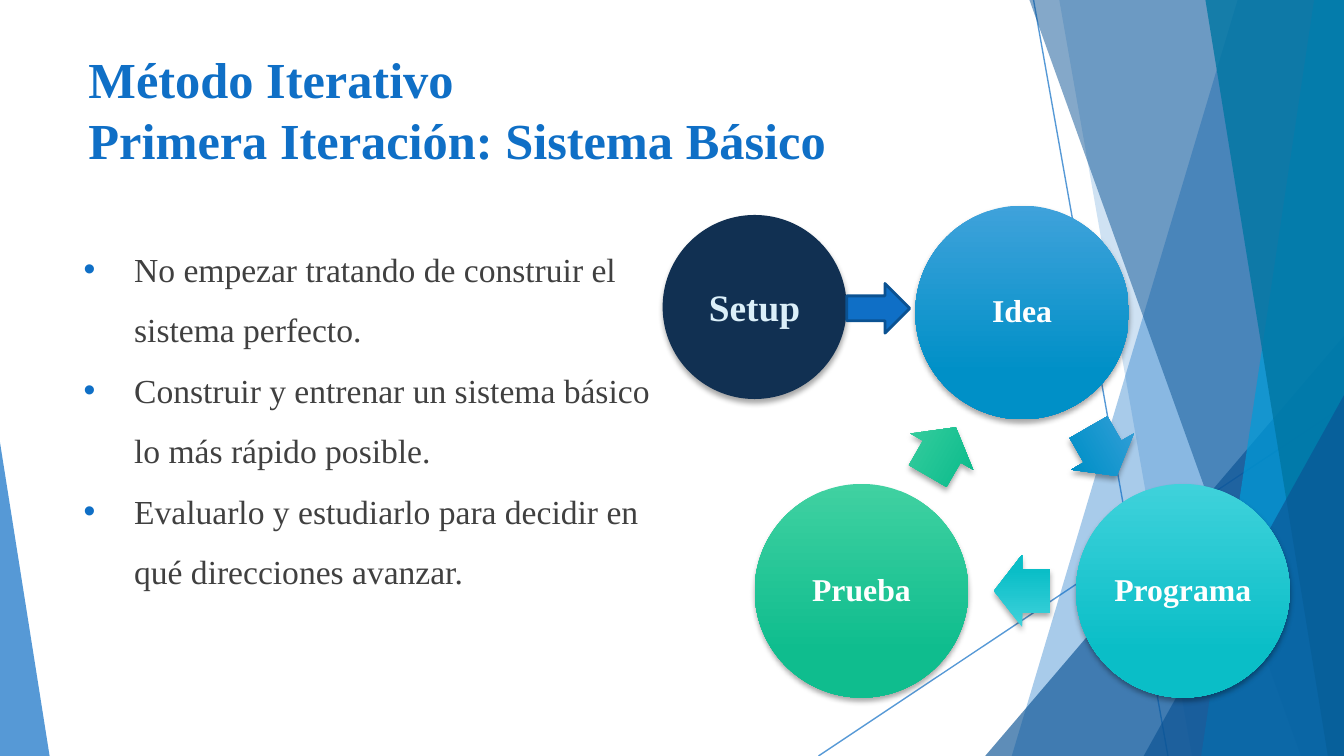
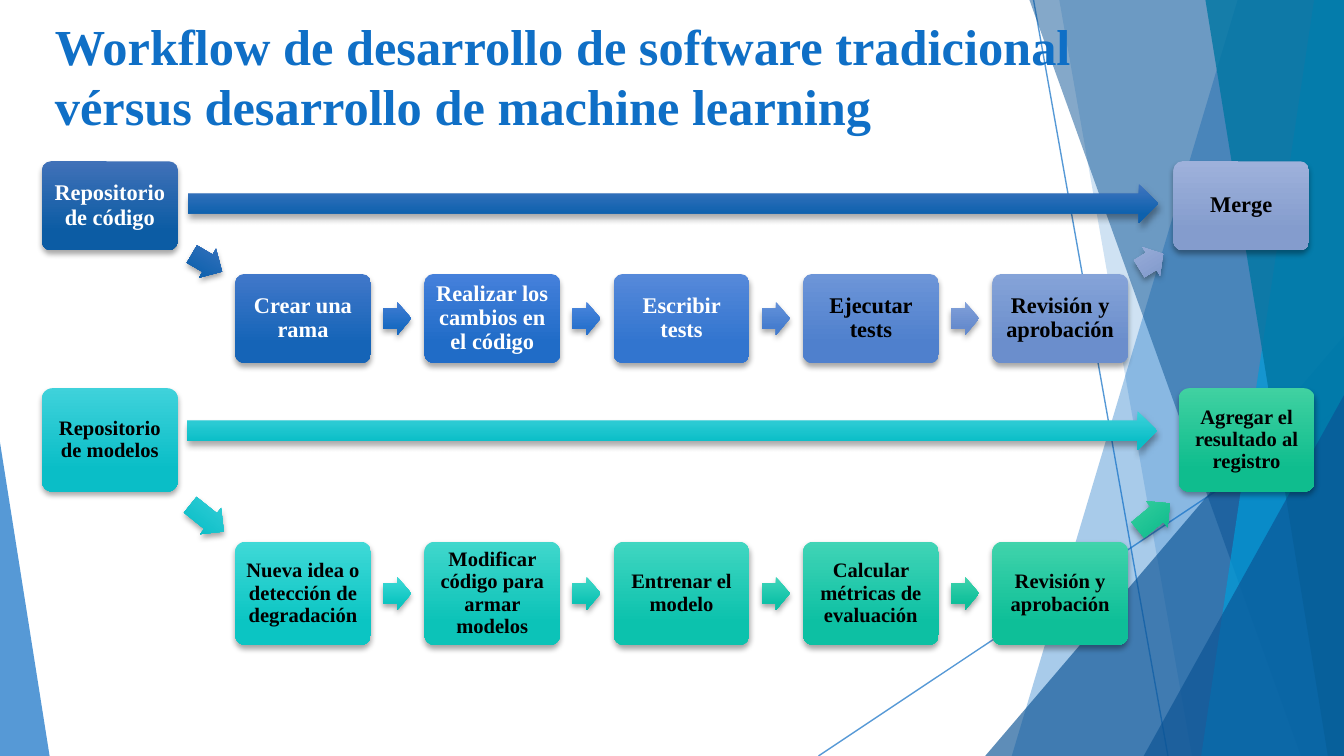
from math import cos, radians, sin

from lxml import etree
from pptx import Presentation
from pptx.dml.color import RGBColor
from pptx.enum.shapes import MSO_CONNECTOR, MSO_SHAPE
from pptx.enum.text import MSO_ANCHOR, PP_ALIGN
from pptx.oxml.ns import qn
from pptx.util import Pt

OVAL, ROUND = MSO_SHAPE.OVAL, MSO_SHAPE.ROUNDED_RECTANGLE
ARROW, WEDGE = MSO_SHAPE.RIGHT_ARROW, MSO_SHAPE.ISOSCELES_TRIANGLE
LINE = MSO_CONNECTOR.STRAIGHT
TOP, MID, LOW = MSO_ANCHOR.TOP, MSO_ANCHOR.MIDDLE, MSO_ANCHOR.BOTTOM
LEFT, CENTER = PP_ALIGN.LEFT, PP_ALIGN.CENTER


class Theme:
    wide, high = 720, 405
    font = "Times New Roman"
    blue, deep, sky, teal = "0F6FC6", "0B5394", "009DD9", "0076A3"
    edge, navy, pale = "0B5292", "113052", "DBEFF9"
    gray, white, black = "404040", "FFFFFF", "000000"
    title, body, setup, node = 27, 18, 20, 17


# Content: backdrop, lines as ends, bands as top x and bottom x,
# wedges as box and tip position
LINES = [(553.7, 0, 625.7, 405), (720, 217.4, 438.5, 405)]
BACK = [
    ("band", (663, 542), Theme.blue, 36),
    ("band", (567.5, 638.6), Theme.blue, 20),
    ("wedge", (527.8, 180, 192.2, 225, 1), Theme.deep, 66),
    ("band", (551.5, 697), Theme.deep, 50),
    ("band", (704, 643.5), Theme.sky, 70),
    ("band", (645.8, 711.4), Theme.teal, 80),
    ("wedge", (612.7, 211.7, 107.3, 193.3, 1), Theme.deep, 66),
    ("wedge", (0, 236.9, 26.6, 168.1, 0), Theme.blue, 70),
]

# Content: iterative method
CYCLE_HEAD = "Método Iterativo\nPrimera Iteración: Sistema Básico"
POINTS = [
    "No empezar tratando de construir el sistema perfecto.",
    "Construir y entrenar un sistema básico lo más rápido posible.",
    "Evaluarlo y estudiarlo para decidir en qué direcciones avanzar.",
]
CYCLE = [
    ("Idea", ("3FA2DB", "0090C7")),
    ("Programa", ("3FD2DB", "0ABEC7")),
    ("Prueba", ("40D1A1", "0FBD8E")),
]

# Content: workflows; tones alternate box, arrow, box, ...
FLOW_HEAD = ("Workflow de desarrollo de software tradicional "
             "vérsus desarrollo de machine learning")
FLOWS = [
    dict(
        words=["Repositorio de código", "Crear una rama",
               "Realizar los cambios en el código", "Escribir tests",
               "Ejecutar tests", "Revisión y aprobación", "Merge"],
        tones=[("4071B8", "0C5CA4"), ("4075C0", "0D61AD"),
               ("4178CA", "1564B7"), ("427DD4", "186AC1"),
               ("4580DB", "206CC7"), ("4C86DD", "2972CD"),
               ("5689DA", "3275CF"), ("6592DA", "467DCE"),
               ("6D95D8", "4F80CD"), ("81A0D9", "668BCD"),
               ("85A3D8", "6B8ECC"), ("9DB1DB", "839BCD"),
               ("9EB1DB", "849CCD")],
        inks=[Theme.white] * 4 + [Theme.black] * 3, size=12,
        tops=(86.4, 146.8), high=47.6, last=628.6, long=(100.8, 98.6),
        down=(110.9, 140.8, 18.7, 30.3), up=(616.7, 140, 15.1, 328.2),
    ),
    dict(
        words=["Repositorio de modelos",
               "Nueva idea o detección de degradación",
               "Modificar código para armar modelos", "Entrenar el modelo",
               "Calcular métricas de evaluación", "Revisión y aprobación",
               "Agregar el resultado al registro"],
        tones=[("3FD2DB", "0ABEC7"), ("3FD2DB", "0ABEC7"),
               ("3FD9D7", "0BC5C3"), ("3FD9D5", "0BC5C1"),
               ("40D7CC", "0CC3B8"), ("40D7C7", "0CC3B4"),
               ("40D6C1", "0CC2AD"), ("40D5BA", "0DC1A7"),
               ("40D4B6", "0DC0A3"), ("40D3AD", "0EBF9A"),
               ("40D3AB", "0EBF98"), ("40D1A1", "0FBD8E"),
               ("40D1A1", "0FBD8E")],
        inks=[Theme.black] * 7, size=11,
        tops=(208, 290.2), high=55.4, last=631.5, long=(100.1, 220.3),
        down=(110.9, 277.6, 23, 38.7), up=(618.1, 276.8, 22.3, 320.4),
    ),
]


# Format helpers
def rgb(code):
    return RGBColor.from_string(code)


def apply(item, vals):
    for name, val in vals.items():
        setattr(item, name, val)


def fade(shape, part):
    for node in shape.element.spPr.iter(qn("a:srgbClr")):
        etree.SubElement(node, qn("a:alpha"), val=str(part * 1000))


def shade(shape):
    glow = shape.element.spPr.find(qn("a:effectLst"))
    drop = etree.SubElement(glow, qn("a:outerShdw"), blurRad=str(Pt(3)),
                            dist=str(Pt(2)), dir="5400000", rotWithShape="0")
    tint = etree.SubElement(drop, qn("a:srgbClr"), val=Theme.black)
    etree.SubElement(tint, qn("a:alpha"), val="35000")


def paint(shape, tone):
    """Fill with one colour, or with a top-down pair of colours."""
    shape.shadow.inherit = False
    shape.line.fill.background()
    if isinstance(tone, str):
        shape.fill.solid()
        shape.fill.fore_color.rgb = rgb(tone)
        return
    shape.fill.gradient()
    shape.fill.gradient_angle = 270
    for stop, code, spot in zip(shape.fill.gradient_stops, tone, (0, 0.78)):
        stop.color.rgb = rgb(code)
        stop.position = spot


def write(shape, texts, size, ink, bold=True, pad=7.2, anchor=MID,
          align=CENTER, space=1.0):
    frame = shape.text_frame
    apply(frame, dict(word_wrap=True, vertical_anchor=anchor))
    apply(frame, {f"margin_{side}": Pt(pad)
                  for side in ("left", "top", "right", "bottom")})
    for i, text in enumerate(texts):
        para = frame.add_paragraph() if i else frame.paragraphs[0]
        para.text = text
        apply(para, dict(alignment=align, line_spacing=space))
        for run in para.runs:
            apply(run.font, dict(name=Theme.font, size=Pt(size), bold=bold))
            run.font.color.rgb = rgb(ink)
    return frame.paragraphs


def add(slide, kind, box, tone, adj=(), turn=0, lift=True):
    shape = slide.shapes.add_shape(kind, *map(Pt, box))
    for i, val in enumerate(adj):
        shape.adjustments[i] = val
    shape.rotation = turn
    paint(shape, tone)
    if lift:
        shade(shape)
    return shape


def arrow(slide, x, y, wide, high, tone, turn=0):
    """Block arrow placed by its centre."""
    box = (x - wide / 2, y - high / 2, wide, high)
    return add(slide, ARROW, box, tone, (0.6, 0.5), turn)


# Shared frame: backdrop and title
def start(deck, head, box):
    slide = deck.slides.add_slide(deck.slide_layouts[6])
    for ends in LINES:
        line = slide.shapes.add_connector(LINE, *map(Pt, ends))
        line.line.width = Pt(0.75)
        line.line.color.rgb = rgb(Theme.blue)
        fade(line, 70)
        etree.SubElement(line.element.spPr, qn("a:effectLst"))
    for kind, spot, tone, part in BACK:
        if kind == "band":
            top, low = map(Pt, spot)
            right, base = Pt(Theme.wide), Pt(Theme.high)
            pen = slide.shapes.build_freeform(top, 0)
            pen.add_line_segments([(right, 0), (right, base), (low, base)])
            shape = pen.convert_to_shape()
            paint(shape, tone)
        else:
            shape = add(slide, WEDGE, spot[:4], tone, spot[4:], lift=False)
        fade(shape, part)
    title = slide.shapes.add_textbox(*map(Pt, box))
    write(title, [head], Theme.title, Theme.blue, anchor=LOW, align=LEFT)
    return slide


def bullet(para):
    props = para._p.get_or_add_pPr()
    apply(para, dict(space_before=Pt(0)))
    props.set("marL", str(Pt(36)))
    props.set("indent", str(Pt(-27)))
    tint = etree.SubElement(props, qn("a:buClr"))
    etree.SubElement(tint, qn("a:srgbClr"), val=Theme.blue)
    etree.SubElement(props, qn("a:buFont"), typeface="Arial")
    etree.SubElement(props, qn("a:buChar"), char="•")


def cycle(deck):
    slide = start(deck, CYCLE_HEAD, (40.3, 20.2, 507.6, 77.8))
    body = slide.shapes.add_textbox(*map(Pt, (28.8, 115.2, 331.2, 252)))
    paras = write(body, POINTS, Theme.body, Theme.gray, bold=False,
                  anchor=TOP, align=LEFT, space=1.5)
    for para in paras:
        bullet(para)
    paras[0].space_before = Pt(16)

    # Three circles on a ring, an arrow halfway between each two
    mid_x, mid_y, ring, size = 547.6, 266.8, 99.4, 114.5
    for i, (word, tone) in enumerate(CYCLE):
        turn = radians(120 * i - 90)
        x, y = mid_x + ring * cos(turn), mid_y + ring * sin(turn)
        box = (x - size / 2, y - size / 2, size, size)
        node = add(slide, OVAL, box, tone)
        write(node, [word], Theme.node, Theme.white, pad=1.44, space=0.9)
        turn = radians(120 * i - 30)
        arrow(slide, mid_x + ring / 2 * cos(turn),
              mid_y + ring / 2 * sin(turn), 30.2, 38.9, tone, 60 + 120 * i)

    # Entry to the ring
    setup = add(slide, OVAL, (355, 115.2, 98.6, 98.6), Theme.navy)
    write(setup, ["Setup"], Theme.setup, Theme.pale, pad=0)
    entry = add(slide, ARROW, (453.6, 151.9, 33.8, 26.6), Theme.blue,
                lift=False)
    entry.line.color.rgb = rgb(Theme.edge)
    entry.line.width = Pt(1.5)


def flows(deck):
    slide = start(deck, FLOW_HEAD, (22.3, 21.6, 581.8, 58.3))
    first, step, pitch, wide = 22.5, 126, 101.4, 72.7
    for flow in FLOWS:
        tones, high = flow["tones"], flow["high"]
        top, low = flow["tops"]
        count = len(flow["words"]) - 2
        spots = [(first, top)]
        spots += [(step + pitch * i, low) for i in range(count)]
        spots += [(flow["last"], top)]

        # Boxes
        for (x, y), word, tone, ink in zip(spots, flow["words"],
                                           tones[::2], flow["inks"]):
            card = add(slide, ROUND, (x, y, wide, high), tone, (0.1,))
            write(card, [word], flow["size"], ink, pad=3.6, space=0.9)

        # Arrows: down, between steps, up, and the long one
        marks = [flow["down"]]
        marks += [(x + 86.8, low + high / 2, 15.1, 0)
                  for x, _ in spots[1:count]]
        marks += [flow["up"]]
        for (x, y, span, turn), tone in zip(marks, tones[1::2]):
            arrow(slide, x, y, span, 18, tone, turn)
        add(slide, ARROW, (*flow["long"], 519.8, 20.9), tones[1])


def main():
    deck = Presentation()
    apply(deck, dict(slide_width=Pt(Theme.wide), slide_height=Pt(Theme.high)))
    cycle(deck)
    flows(deck)
    deck.save("out.pptx")


if __name__ == "__main__":
    main()
